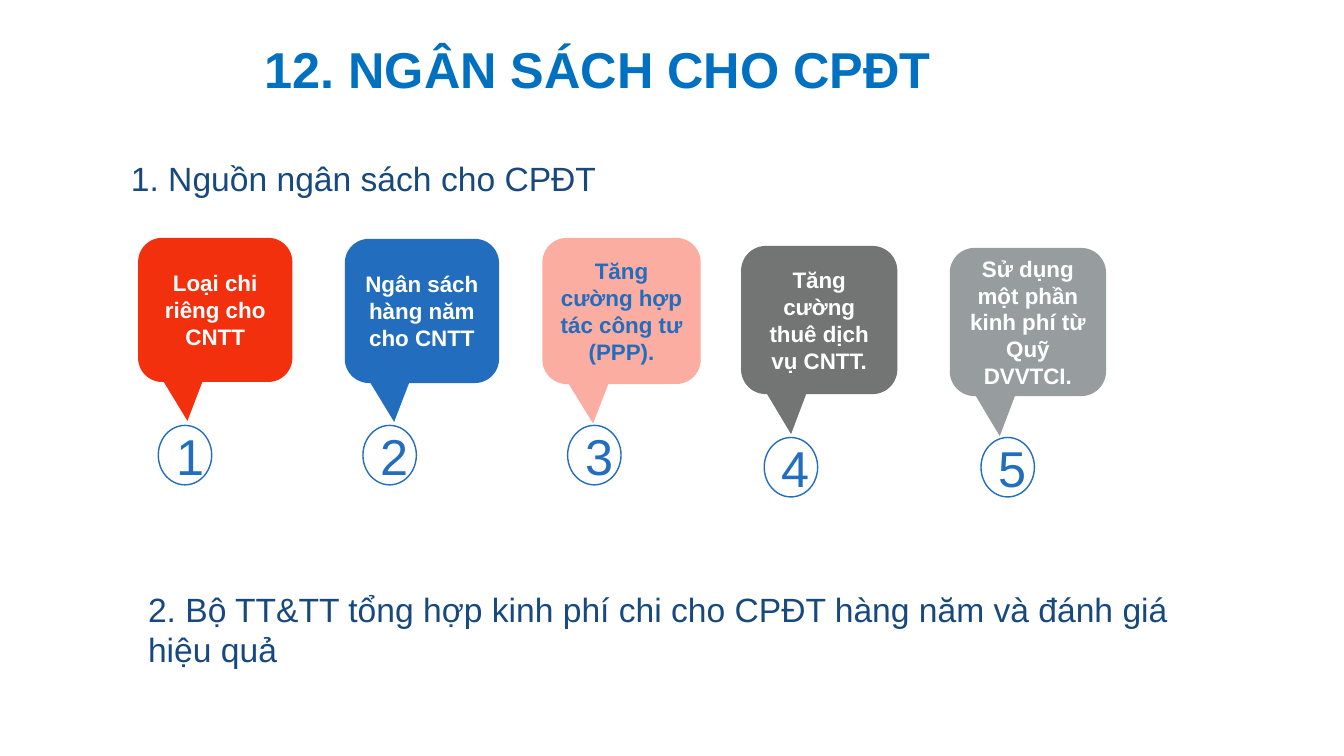
from dataclasses import dataclass

from pptx import Presentation
from pptx.dml.color import RGBColor
from pptx.enum.shapes import MSO_SHAPE
from pptx.enum.text import MSO_ANCHOR, PP_ALIGN
from pptx.shapes.autoshape import Shape
from pptx.slide import Slide
from pptx.util import Inches, Pt

CALLOUT = MSO_SHAPE.ROUNDED_RECTANGULAR_CALLOUT
ROUNDED = MSO_SHAPE.ROUNDED_RECTANGLE
OVAL = MSO_SHAPE.OVAL
MIDDLE = MSO_ANCHOR.MIDDLE
LEFT, CENTER = PP_ALIGN.LEFT, PP_ALIGN.CENTER

FONT = "Arial"
WHITE = "FFFFFF"
BLUE = "226DBE"
TITLE_BLUE = "0070C0"
HEADING_BLUE = "17497F"
CALLOUT_ADJUSTMENTS = (-0.18, 0.77, 0.167)
BADGE_WIDTH, BADGE_HEIGHT = 0.53, 0.59


@dataclass(frozen=True)
class Box:
    left: float
    top: float
    width: float
    height: float

    def lengths(self) -> tuple[int, int, int, int]:
        return Inches(self.left), Inches(self.top), Inches(self.width), Inches(self.height)


@dataclass(frozen=True)
class BudgetSource:
    text: str
    box: Box
    fill: str
    text_color: str
    badge_left: float
    badge_top: float


@dataclass(frozen=True)
class Heading:
    text: str
    box: Box


SOURCES = (
    BudgetSource("Loại chi riêng cho CNTT", Box(1.37, 2.36, 1.53, 1.43),
                 "F3300E", WHITE, 1.57, 4.22),
    BudgetSource("Ngân sách hàng năm cho CNTT", Box(3.42, 2.37, 1.53, 1.43),
                 BLUE, WHITE, 3.6, 4.22),
    BudgetSource("Tăng cường hợp tác công tư (PPP).", Box(5.38, 2.36, 1.57, 1.45),
                 "FAADA0", BLUE, 5.63, 4.22),
    BudgetSource("Tăng cường thuê dịch vụ CNTT.", Box(7.35, 2.44, 1.55, 1.47),
                 "737474", WHITE, 7.58, 4.34),
    BudgetSource("Sử dụng một phần kinh phí từ Quỹ DVVTCI.", Box(9.42, 2.46, 1.55, 1.47),
                 "979D9F", WHITE, 9.73, 4.34),
)
HEADINGS = (
    Heading("1. Nguồn ngân sách cho CPĐT", Box(1.2, 1.52, 5.98, 0.5)),
    Heading("2. Bộ TT&TT tổng hợp kinh phí chi cho CPĐT hàng năm và đánh giá hiệu quả",
            Box(1.37, 5.79, 10.61, 0.91)),
)


def rgb(color: str) -> RGBColor:
    return RGBColor.from_string(color)


def write_text(shape: Shape, text: str, size: int, color: str,
               bold: bool = False, alignment: PP_ALIGN = CENTER) -> None:
    shape.text_frame.word_wrap = True
    paragraph = shape.text_frame.paragraphs[0]
    paragraph.text = text
    paragraph.alignment = alignment
    paragraph.font.name = FONT
    paragraph.font.size = Pt(size)
    paragraph.font.bold = bold
    paragraph.font.color.rgb = rgb(color)


def add_plain_shape(slide: Slide, kind: MSO_SHAPE, box: Box,
                    fill: str | None = None, line: str | None = None) -> Shape:
    shape = slide.shapes.add_shape(kind, *box.lengths())
    shape.shadow.inherit = False
    shape.text_frame.vertical_anchor = MIDDLE
    if fill:
        shape.fill.solid()
        shape.fill.fore_color.rgb = rgb(fill)
    else:
        shape.fill.background()
    if line:
        shape.line.color.rgb = rgb(line)
        shape.line.width = Pt(1)
    else:
        shape.line.fill.background()
    return shape


def add_title(slide: Slide) -> None:
    title = add_plain_shape(slide, ROUNDED, Box(1.15, 0.38, 9.56, 0.6), fill=WHITE)
    write_text(title, "12. NGÂN SÁCH CHO CPĐT", 36, TITLE_BLUE, bold=True)


def add_heading(slide: Slide, heading: Heading) -> None:
    text_box = slide.shapes.add_textbox(*heading.box.lengths())
    write_text(text_box, heading.text, 24, HEADING_BLUE, alignment=LEFT)


def add_source(slide: Slide, number: int, source: BudgetSource) -> None:
    """Draw a callout and the numbered badge its tail points to."""
    callout = add_plain_shape(slide, CALLOUT, source.box, fill=source.fill)
    for index, value in enumerate(CALLOUT_ADJUSTMENTS):
        callout.adjustments[index] = value
    write_text(callout, source.text, 16, source.text_color, bold=True)

    badge_box = Box(source.badge_left, source.badge_top, BADGE_WIDTH, BADGE_HEIGHT)
    badge = add_plain_shape(slide, OVAL, badge_box, line=BLUE)
    write_text(badge, str(number), 36, BLUE)


def main() -> None:
    presentation = Presentation()
    presentation.slide_width = Inches(13.33)
    presentation.slide_height = Inches(7.5)
    slide = presentation.slides.add_slide(presentation.slide_layouts[6])
    add_title(slide)
    for number, source in enumerate(SOURCES, start=1):
        add_source(slide, number, source)
    for heading in HEADINGS:
        add_heading(slide, heading)
    presentation.save("out.pptx")


if __name__ == "__main__":
    main()
